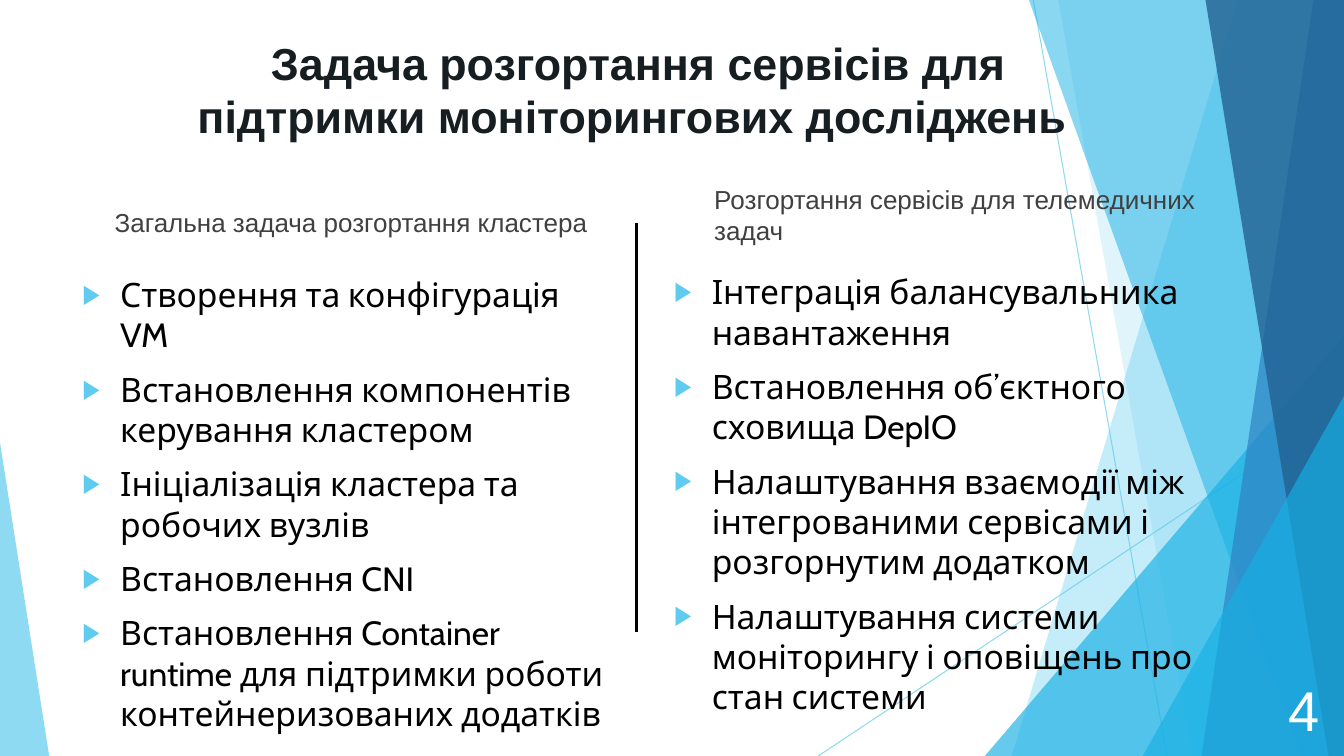
import pptx
import pptx.util
import pptx.dml.color
import pptx.enum.shapes
import pptx.enum.text
import pptx.oxml
import pptx.oxml.ns
from pptx.util import Cm

COLORS = {
    "sky": "5FCBEF", "cyan": "17B0E4", "blue": "2E83C3", "navy": "226292",
    "title": "161E22", "heading": "404040", "black": "000000", "white": "FFFFFF",
}
ALIGN = pptx.enum.text.PP_ALIGN
ANCHOR = pptx.enum.text.MSO_ANCHOR
W, H = 33.87, 19.05

CLUSTER_TASKS = [
    "Створення та конфігурація VM",
    "Встановлення компонентів керування кластером",
    "Ініціалізація кластера та робочих вузлів",
    "Встановлення CNI",
    "Встановлення Container runtime для підтримки роботи контейнеризованих додатків",
]
SERVICE_TASKS = [
    "Інтеграція балансувальника навантаження",
    "Встановлення об’єктного сховища DepIO",
    "Налаштування взаємодії між інтегрованими сервісами і розгорнутим додатком",
    "Налаштування системи моніторингу і оповіщень про стан системи",
]


def rgb(name):
    return pptx.dml.color.RGBColor.from_string(COLORS[name])


def sub(parent, tag, **attrs):
    el = pptx.oxml.parse_xml(f"<{tag} {pptx.oxml.ns.nsdecls('a')}/>")
    for key, value in attrs.items():
        el.set(key, str(value))
    parent.append(el)
    return el


def set_alpha(color_parent, percent):
    for clr in color_parent.iter(pptx.oxml.ns.qn("a:srgbClr")):
        sub(clr, "a:alpha", val=percent * 1000)


def paint(sp, color, alpha):
    sp.shadow.inherit = False
    sp.fill.solid()
    sp.fill.fore_color.rgb = rgb(color)
    sp.line.fill.background()
    set_alpha(sp._element.spPr, alpha)


def add_line(s, x1, y1, x2, y2, color, width, alpha=100):
    sp = s.shapes.add_connector(pptx.enum.shapes.MSO_CONNECTOR.STRAIGHT,
                                Cm(x1), Cm(y1), Cm(x2), Cm(y2))
    sp.line.color.rgb = rgb(color)
    sp.line.width = pptx.util.Pt(width)
    if alpha < 100:
        set_alpha(sp._element.spPr, alpha)
    sub(sp._element.spPr, "a:effectLst")


def add_band(s, top_x, bottom_x, color, alpha):
    """Band from a slanted left edge to the right side of the slide."""
    fb = s.shapes.build_freeform(Cm(top_x), 0)
    fb.add_line_segments([(Cm(W), 0), (Cm(W), Cm(H)), (Cm(bottom_x), Cm(H))])
    paint(fb.convert_to_shape(), color, alpha)


def add_corner(s, x, y, w, apex, color, alpha):
    """Triangle standing on the bottom edge of the slide."""
    sp = s.shapes.add_shape(pptx.enum.shapes.MSO_SHAPE.ISOSCELES_TRIANGLE,
                            Cm(x), Cm(y), Cm(w), Cm(H - y))
    sp.adjustments[0] = apex
    paint(sp, color, alpha)


def add_bullet(p):
    pPr = p._p.get_or_add_pPr()
    pPr.set("marL", str(Cm(0.95)))
    pPr.set("indent", str(-Cm(0.95)))
    sub(sub(pPr, "a:buClr"), "a:srgbClr", val=COLORS["sky"])
    sub(pPr, "a:buSzPct", val=80000)
    sub(pPr, "a:buFont", typeface="Arial")
    sub(pPr, "a:buChar", char="▶")


def write(tf, texts, size, color, font="Arial", bold=False, align=ALIGN.LEFT,
          anchor=ANCHOR.TOP, before=0, bullet=False):
    tf.word_wrap = True
    tf.auto_size = pptx.enum.text.MSO_AUTO_SIZE.NONE
    tf.vertical_anchor = anchor
    for i, text in enumerate(texts):
        p = tf.add_paragraph() if i else tf.paragraphs[0]
        p.alignment = align
        p.space_before = pptx.util.Pt(before)
        if bullet:
            add_bullet(p)
        r = p.add_run()
        r.text = text
        r.font.name, r.font.bold = font, bold
        r.font.size = pptx.util.Pt(size)
        r.font.color.rgb = rgb(color)


def add_text(s, x, y, w, h, texts, **fmt):
    sp = s.shapes.add_textbox(Cm(x), Cm(y), Cm(w), Cm(h))
    write(sp.text_frame, texts, **fmt)


def add_title(s, text):
    sp = s.shapes.title
    sp.left, sp.top, sp.width, sp.height = Cm(4.24), Cm(0.76), Cm(23.7), Cm(4.19)
    write(sp.text_frame, [text], size=32, color="title", bold=True, align=ALIGN.CENTER)
    s.shapes._spTree.append(sp._element)  # above the decoration


def add_decoration(s):
    add_line(s, 26.04, 0, 29.41, H, "sky", 0.75, 70)
    add_line(s, W, 10.24, 20.62, H, "sky", 0.75, 70)
    add_band(s, 31.19, 25.5, "sky", 36)
    add_band(s, 26.67, 30.05, "sky", 20)
    add_corner(s, 24.82, 8.46, W - 24.82, 1, "cyan", 66)
    add_band(s, 25.93, 32.79, "cyan", 50)
    add_band(s, 33.1, 30.28, "blue", 70)
    add_band(s, 30.38, 33.48, "navy", 80)
    add_corner(s, 28.8, 9.98, W - 28.8, 1, "cyan", 66)
    add_corner(s, 0, 11.15, 1.24, 0, "sky", 70)


def main():
    prs = pptx.Presentation()
    prs.slide_width, prs.slide_height = Cm(W), Cm(H)
    s = prs.slides.add_slide(prs.slide_layouts[5])

    # Background and title
    add_decoration(s)
    add_title(s, "Задача розгортання сервісів для підтримки моніторингових досліджень ")

    # Two columns of tasks
    heading = dict(size=18.6, color="heading", anchor=ANCHOR.BOTTOM, before=10)
    tasks = dict(size=24, color="black", font="Cabin", before=10, bullet=True)
    add_text(s, 2.64, 4.52, 12.93, 1.6, ["Загальна задача розгортання кластера"], **heading)
    add_text(s, 1.83, 6.78, 13.72, 11.94, CLUSTER_TASKS, **tasks)
    add_text(s, 17.75, 4.72, 12.95, 1.6,
             ["Розгортання сервісів для телемедичних задач"], **heading)
    add_text(s, 16.74, 6.71, 13.69, 10.87, SERVICE_TASKS, **tasks)

    # Divider and slide number
    add_line(s, 16.04, 5.63, 16.04, 15.93, "black", 2.5)
    add_text(s, 31.6, 17.35, 1.9, 1.02, ["4"], size=40, color="white",
             align=ALIGN.RIGHT, anchor=ANCHOR.MIDDLE)

    prs.save("out.pptx")


if __name__ == "__main__":
    main()
